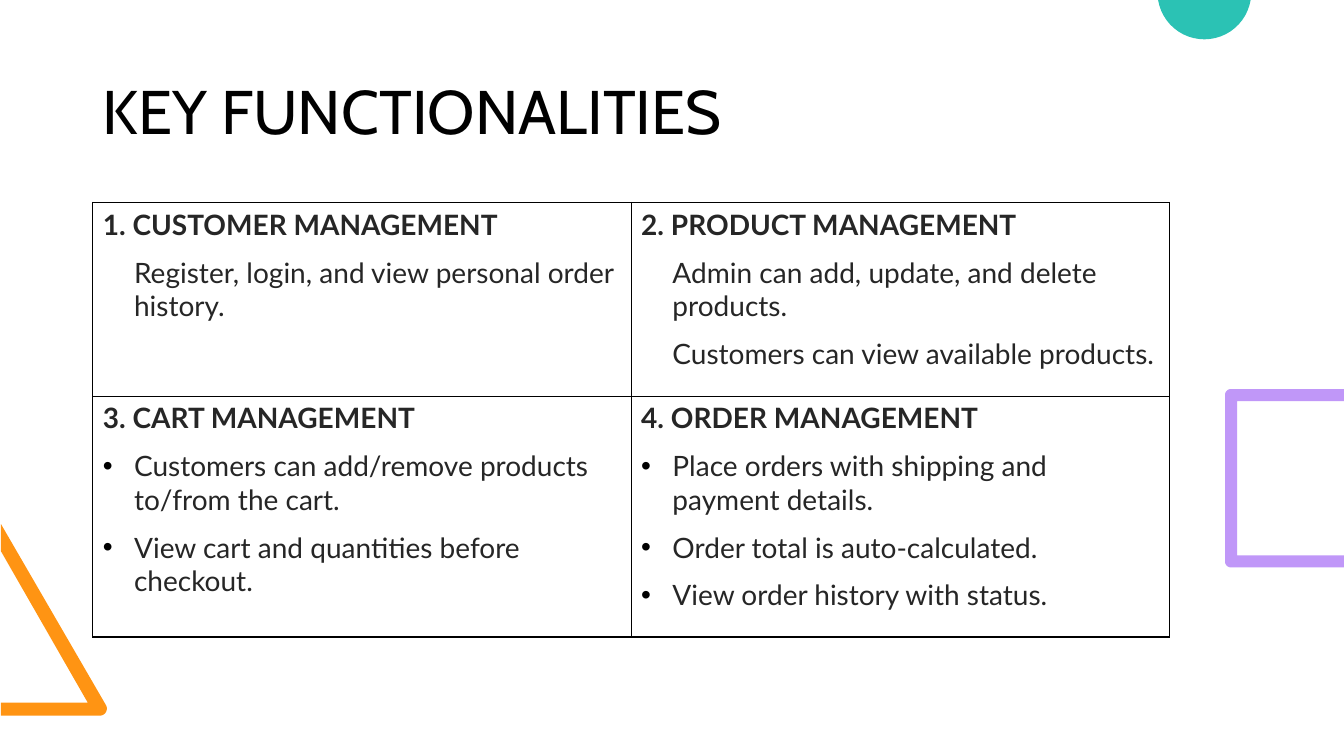
import math
from dataclasses import dataclass

import pptx
import pptx.dml.color
import pptx.enum.text
import pptx.oxml
import pptx.oxml.ns
import pptx.util
from pptx.util import Inches


@dataclass(frozen=True)
class Theme:
    black: str = "000000"
    body: str = "262626"
    teal: str = "2BC2B4"
    orange: str = "FF9413"
    purple: str = "C097F8"
    title_font: str = "Cabin"
    body_font: str = "Lato"
    title_size: int = 44
    body_size: int = 20
    para_gap: int = 10
    border: int = 1


THEME = Theme()

# Heading, bulleted or plain, lines
CARDS = [
    [("1. CUSTOMER MANAGEMENT", False,
      ["Register, login, and view personal order history."]),
     ("2. PRODUCT MANAGEMENT", False,
      ["Admin can add, update, and delete products.",
       "Customers can view available products."])],
    [("3. CART MANAGEMENT", True,
      ["Customers can add/remove products to/from the cart.",
       "View cart and quantities before checkout."]),
     ("4. ORDER MANAGEMENT", True,
      ["Place orders with shipping and payment details.",
       "Order total is auto-calculated.",
       "View order history with status."])],
]


def rgb(color):
    return pptx.dml.color.RGBColor.from_string(color)


def add_run(p, text, font, size, color, bold=False):
    r = p.add_run()
    r.text = text
    r.font.name, r.font.size, r.font.bold = font, pptx.util.Pt(size), bold
    r.font.color.rgb = rgb(color)


def arc(cx, cy, radius, start, end, steps=24):
    """Points on an arc; degrees run clockwise from the right."""
    angles = [math.radians(start + (end - start) * i / steps) for i in range(steps + 1)]
    return [(cx + radius * math.cos(a), cy + radius * math.sin(a)) for a in angles]


def add_outline(slide, points, color):
    emu = [(Inches(x), Inches(y)) for x, y in points]
    builder = slide.shapes.build_freeform(*emu[0], scale=1.0)
    builder.add_line_segments(emu[1:], close=True)
    sp = builder.convert_to_shape()
    sp.shadow.inherit = False
    sp.fill.solid()
    sp.fill.fore_color.rgb = rgb(color)
    sp.line.fill.background()


# Decorations cut off by the slide edges
def add_triangle(slide, x, y, w, h):
    right, bottom, radius = x + w, y + h, 0.07
    corner = arc(right - radius, bottom - radius, radius, -30, 90)
    points = [(x, bottom), (x, bottom - 0.13), (x + 0.86, bottom - 0.13),
              (x, y + 0.27), (x, y)]
    add_outline(slide, points + corner, THEME.orange)


def add_half_disc(slide, x, y, w, h):
    radius = w / 2
    cy = y + h - radius
    edge = math.degrees(math.asin((y - cy) / radius))
    add_outline(slide, arc(x + radius, cy, radius, edge, 180 - edge), THEME.teal)


def add_open_frame(slide, x, y, w, h):
    right, bottom, band, radius = x + w, y + h, 0.12, 0.06
    points = [(right, bottom), (right, bottom - band), (x + band, bottom - band),
              (x + band, y + band), (right, y + band), (right, y)]
    points += arc(x + radius, y + radius, radius, 270, 180)
    points += arc(x + radius, bottom - radius, radius, 180, 90)
    add_outline(slide, points, THEME.purple)


def add_title(slide, x, y, w, h):
    tf = slide.shapes.add_textbox(Inches(x), Inches(y), Inches(w), Inches(h)).text_frame
    tf.word_wrap = True
    tf.vertical_anchor = pptx.enum.text.MSO_ANCHOR.MIDDLE
    p = tf.paragraphs[0]
    p.line_spacing = 0.9
    add_run(p, "KEY FUNCTIONALITIES", THEME.title_font, THEME.title_size, THEME.black)


# Table of functions
def set_borders(cell):
    tc_pr = cell._tc.get_or_add_tcPr()
    for i, side in enumerate(("lnL", "lnR", "lnT", "lnB")):
        tc_pr.insert(i, pptx.oxml.parse_xml(
            f'<a:{side} {pptx.oxml.ns.nsdecls("a")} w="{pptx.util.Pt(THEME.border)}">'
            f'<a:solidFill><a:srgbClr val="{THEME.black}"/></a:solidFill></a:{side}>'))


def indent_item(p, bulleted):
    p_pr = p._p.get_or_add_pPr()
    p_pr.set("marL", str(Inches(0.31)))
    if bulleted:
        p_pr.set("indent", str(Inches(-0.31)))
        ns = pptx.oxml.ns.nsdecls("a")
        for tag in (f'<a:buClr {ns}><a:srgbClr val="{THEME.black}"/></a:buClr>',
                    f'<a:buFont {ns} typeface="Arial"/>',
                    f'<a:buChar {ns} char="•"/>'):
            p_pr.append(pptx.oxml.parse_xml(tag))


def fill_card(cell, heading, bulleted, lines):
    cell.fill.background()
    set_borders(cell)
    tf = cell.text_frame
    for i, text in enumerate([heading] + lines):
        p = tf.add_paragraph() if i else tf.paragraphs[0]
        p.space_before = pptx.util.Pt(THEME.para_gap)
        if i:
            indent_item(p, bulleted)
        add_run(p, text, THEME.body_font, THEME.body_size, THEME.body, bold=i == 0)


def add_functions_table(slide, x, y, w, row_heights):
    table = slide.shapes.add_table(len(CARDS), len(CARDS[0]), Inches(x), Inches(y),
                                   Inches(w), Inches(sum(row_heights))).table
    table.first_row = table.horz_banding = False
    for row, height, cards in zip(table.rows, row_heights, CARDS):
        row.height = Inches(height)
        for cell, card in zip(row.cells, cards):
            fill_card(cell, *card)


def main():
    prs = pptx.Presentation()
    prs.slide_width, prs.slide_height = Inches(13.33), Inches(7.5)
    slide = prs.slides.add_slide(prs.slide_layouts[6])
    add_triangle(slide, 0.01, 5.2, 1.05, 1.9)
    add_half_disc(slide, 11.48, 0, 0.93, 0.39)
    add_open_frame(slide, 12.15, 3.86, 1.18, 1.77)
    add_title(slide, 0.92, 0.33, 11.5, 1.61)
    add_functions_table(slide, 0.92, 2.01, 10.68, [1.92, 2.39])
    prs.save("out.pptx")


if __name__ == "__main__":
    main()
